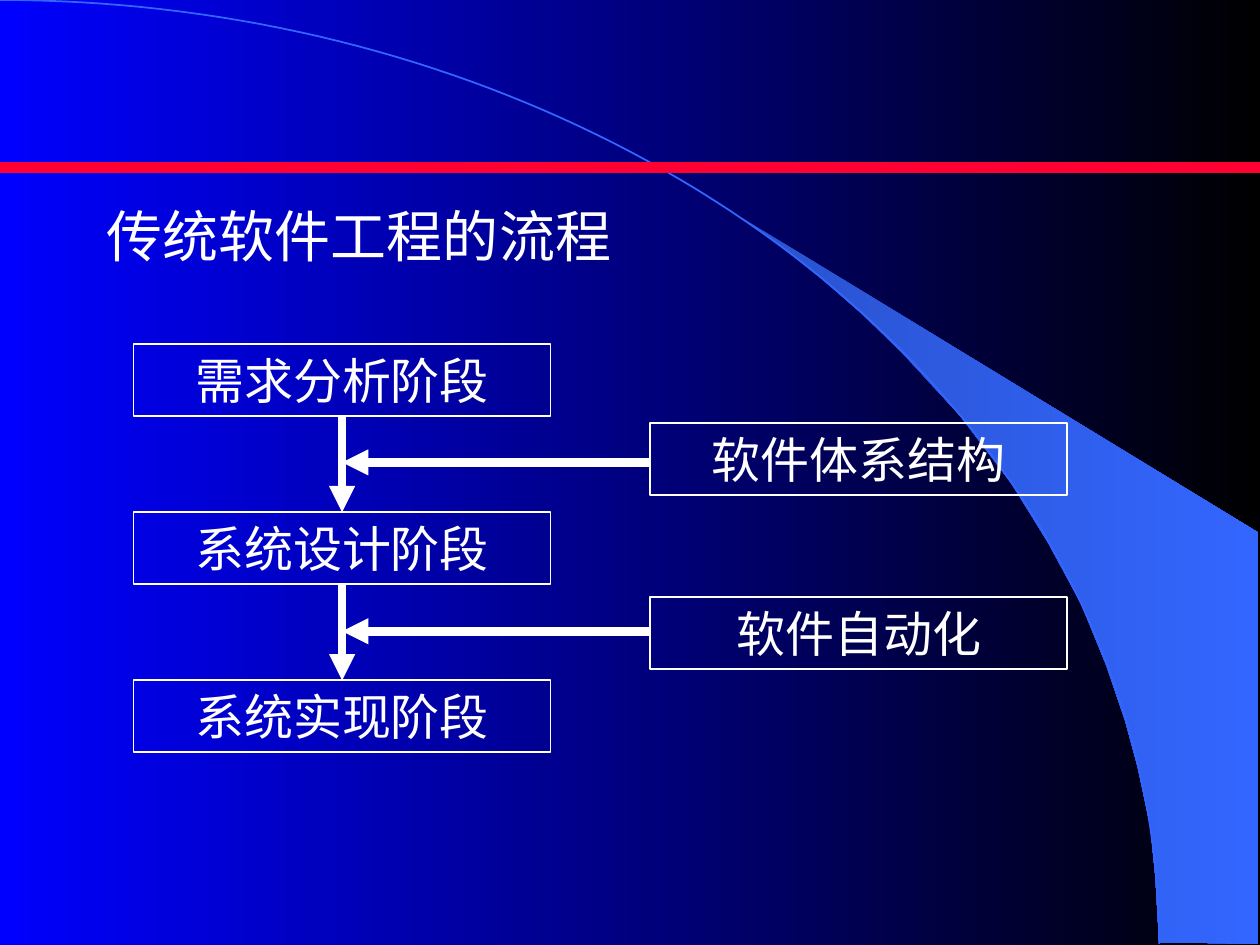
import math

import pptx
import pptx.dml.color
import pptx.enum.shapes
import pptx.enum.text
import pptx.oxml
import pptx.oxml.ns
import pptx.util
from pptx.util import Inches

COLORS = {
    "blue": "0000FF",
    "black": "000000",
    "wedge_dark": "2952CC",
    "wedge_light": "3366FF",
    "red": "FF0033",
    "white": "FFFFFF",
}
FONT = "Times New Roman"
BOX_WIDTH, BOX_HEIGHT = 3.31, 0.57
STAGE_LEFT, STAGE_TOP, STAGE_STEP = 1.06, 2.73, 1.335
STAGES = ["需求分析阶段", "系统设计阶段", "系统实现阶段"]
INPUT_LEFT = 5.16
INPUTS = [("软件体系结构", 3.36, 3.67), ("软件自动化", 4.74, 5.01)]
ARC_WIDTH, ARC_HEIGHT = 9.2, 7.49
WEDGE = [
    (9.2, 7.48), (9.99, 7.49), (9.99, 4.23), (5.89, 1.73), (6.24, 1.99),
    (6.53, 2.22), (6.85, 2.5), (7.16, 2.8), (7.62, 3.3), (8.03, 3.84),
    (8.32, 4.31), (8.58, 4.79), (8.78, 5.28), (8.93, 5.72), (9.03, 6.09),
    (9.13, 6.56), (9.17, 6.96),
]


def color(name):
    return pptx.dml.color.RGBColor.from_string(COLORS[name])


def set_gradient(fill, start, end):
    fill.gradient()
    fill.gradient_angle = 0
    for stop, name in zip(fill.gradient_stops, (start, end)):
        stop.color.rgb = color(name)


def set_line(line, name, width):
    line.color.rgb = color(name)
    line.width = pptx.util.Pt(width)


def add_outline(page, points, close):
    corners = [(Inches(x), Inches(y)) for x, y in points]
    builder = page.shapes.build_freeform(*corners[0])
    builder.add_line_segments(corners[1:], close=close)
    shape = builder.convert_to_shape()
    shape.shadow.inherit = False
    return shape


def write_text(shape, text, size, align, anchor):
    frame = shape.text_frame
    frame.word_wrap = True
    frame.vertical_anchor = anchor
    para = frame.paragraphs[0]
    para.alignment = align
    span = para.add_run()
    span.text = text
    span.font.name = FONT
    span.font.size = pptx.util.Pt(size)
    span.font.color.rgb = color("white")


def add_box(page, text, left, top):
    box = page.shapes.add_shape(
        pptx.enum.shapes.MSO_SHAPE.RECTANGLE,
        Inches(left), Inches(top), Inches(BOX_WIDTH), Inches(BOX_HEIGHT))
    box.shadow.inherit = False
    box.fill.background()
    set_line(box.line, "white", 1)
    write_text(box, text, size=28, align=pptx.enum.text.PP_ALIGN.CENTER,
               anchor=pptx.enum.text.MSO_ANCHOR.MIDDLE)
    return box


def add_line(page, start, end, name, width, arrow=False):
    line = page.shapes.add_connector(
        pptx.enum.shapes.MSO_CONNECTOR.STRAIGHT,
        *(Inches(value) for value in (*start, *end)))
    set_line(line.line, name, width)
    if arrow:
        head = pptx.oxml.parse_xml(
            f'<a:tailEnd {pptx.oxml.ns.nsdecls("a")} type="triangle"/>')
        line.line._get_or_add_ln().append(head)
    effects = pptx.oxml.parse_xml(
        f'<a:effectLst {pptx.oxml.ns.nsdecls("a")}/>')
    line._element.spPr.append(effects)
    return line


def add_backdrop(page):
    set_gradient(page.background.fill, "blue", "black")
    wedge = add_outline(page, WEDGE, close=True)
    set_gradient(wedge.fill, "wedge_dark", "wedge_light")
    wedge.line.fill.background()
    angles = [math.radians(step) for step in range(91)]
    arc = add_outline(
        page,
        [(ARC_WIDTH * math.sin(a), ARC_HEIGHT * (1 - math.cos(a)))
         for a in angles],
        close=False)
    arc.fill.background()
    set_line(arc.line, "wedge_light", 1)


def add_flow(page):
    center = STAGE_LEFT + BOX_WIDTH / 2
    tops = [STAGE_TOP + i * STAGE_STEP for i in range(len(STAGES))]
    boxes = [add_box(page, text, STAGE_LEFT, top)
             for text, top in zip(STAGES, tops)]
    for i in range(len(boxes) - 1):
        arrow = add_line(page, (center, tops[i] + BOX_HEIGHT),
                         (center, tops[i + 1]), "white", 5, arrow=True)
        arrow.begin_connect(boxes[i], 2)
        arrow.end_connect(boxes[i + 1], 0)
    for text, top, arrow_y in INPUTS:
        add_box(page, text, INPUT_LEFT, top)
        add_line(page, (INPUT_LEFT, arrow_y), (center, arrow_y),
                 "white", 5, arrow=True)


def main():
    deck = pptx.Presentation()
    deck.slide_width, deck.slide_height = Inches(10), Inches(7.5)
    page = deck.slides.add_slide(deck.slide_layouts[6])
    add_backdrop(page)
    title = page.shapes.add_textbox(
        Inches(0.75), Inches(1.55), Inches(4.22), Inches(0.69))
    write_text(title, "传统软件工程的流程", size=32,
               align=pptx.enum.text.PP_ALIGN.LEFT,
               anchor=pptx.enum.text.MSO_ANCHOR.TOP)
    add_line(page, (0, 1.33), (10, 1.33), "red", 6)
    add_flow(page)
    deck.save("out.pptx")


if __name__ == "__main__":
    main()
